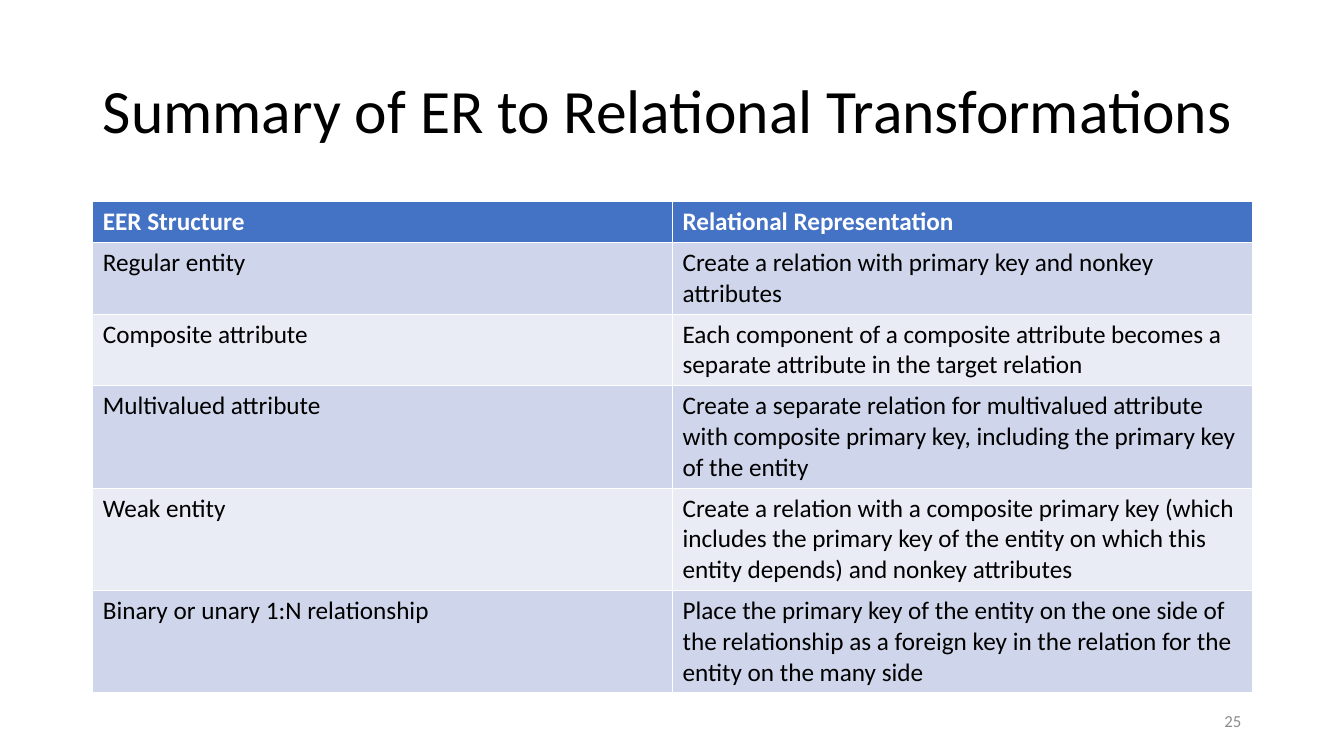
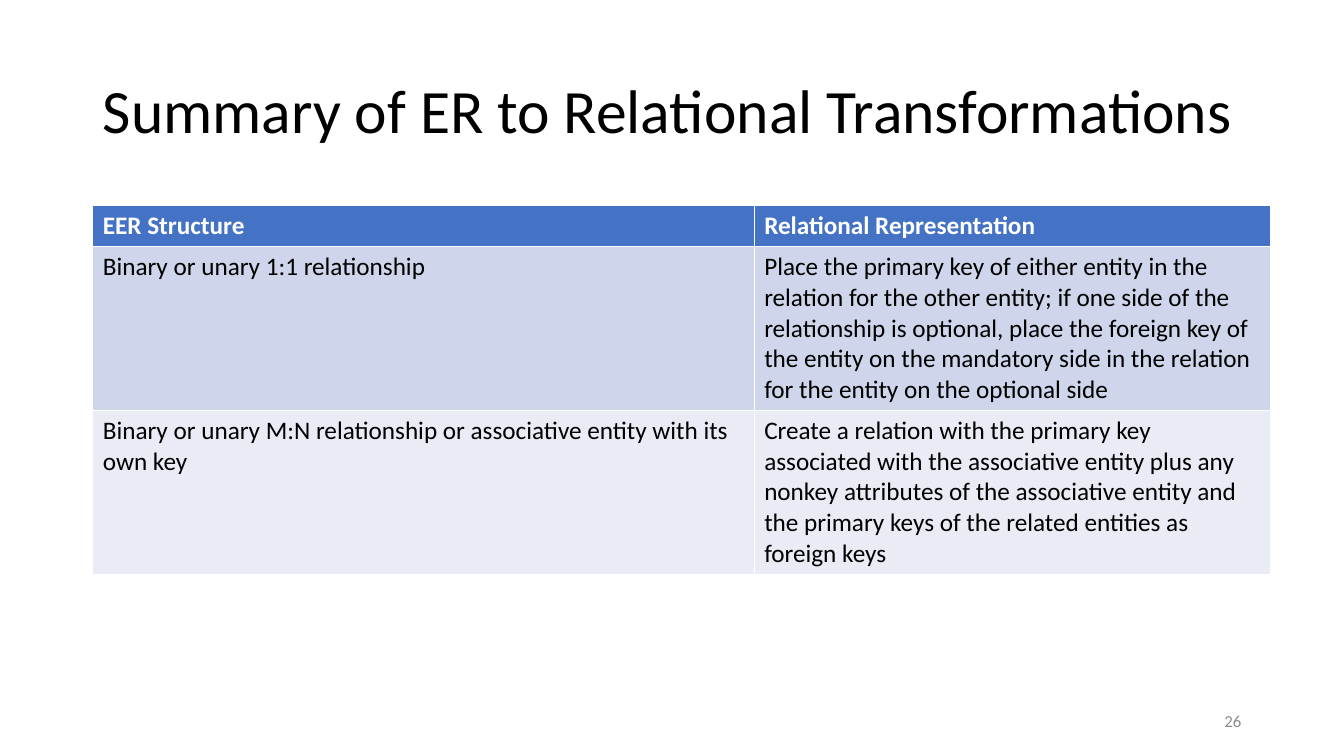
"""Build two slides summarising ER to relational transformations."""
from pptx import Presentation
from pptx.dml.color import RGBColor
from pptx.enum.text import MSO_ANCHOR, MSO_AUTO_SIZE, PP_ALIGN
from pptx.util import Inches

from pptx.util import Pt

COLORS = {"text": "000000", "header": "4472C4", "header_text": "FFFFFF",
          "odd": "CFD5EA", "even": "E9EBF5", "number": "8C8C8C"}
FONT = "Calibri"
WIDTH, HEIGHT, MARGIN = 13.33, 7.5, 0.92
LINE, PADDING = 0.29, 0.11

TITLE = "Summary of ER to Relational Transformations"
HEADER = ("EER Structure", "Relational Representation", 1)
SLIDES = [
    {"number": 25, "top": 2, "cols": (5.75, 5.75), "rows": [
        ("Regular entity", "Create a relation with primary key and nonkey attributes", 2),
        ("Composite attribute",
         "Each component of a composite attribute becomes a separate attribute "
         "in the target relation", 2),
        ("Multivalued attribute",
         "Create a separate relation for multivalued attribute with composite "
         "primary key, including the primary key of the entity", 3),
        ("Weak entity",
         "Create a relation with a composite primary key (which includes the "
         "primary key of the entity on which this entity depends) and nonkey "
         "attributes", 3),
        ("Binary or unary 1:N relationship",
         "Place the primary key of the entity on the one side of the relationship "
         "as a foreign key in the relation for the entity on the many side", 3),
    ]},
    {"number": 26, "top": 2.04, "cols": (6.56, 5.12), "rows": [
        ("Binary or unary 1:1 relationship",
         "Place the primary key of either entity in the relation for the other "
         "entity; if one side of the relationship is optional, place the foreign "
         "key of the entity on the mandatory side in the relation for the entity "
         "on the optional side", 5),
        ("Binary or unary M:N relationship or associative entity with its own key",
         "Create a relation with the primary key associated with the associative "
         "entity plus any nonkey attributes of the associative entity and the "
         "primary keys of the related entities as foreign keys", 5),
    ]},
]


def color(name):
    return RGBColor.from_string(COLORS[name])


def write(tf, text, size, ink, bold=False, align=PP_ALIGN.LEFT):
    tf.text = text
    p = tf.paragraphs[0]
    p.alignment = align
    p.font.name, p.font.size, p.font.bold = FONT, Pt(size), bold
    p.font.color.rgb = color(ink)
    return p


def add_title(s):
    sp = s.shapes.title
    sp.left, sp.top = Inches(MARGIN), Inches(0.4)
    sp.width, sp.height = Inches(WIDTH - 2 * MARGIN), Inches(1.45)
    tf = sp.text_frame
    tf.auto_size = MSO_AUTO_SIZE.NONE
    tf.vertical_anchor = MSO_ANCHOR.MIDDLE
    write(tf, TITLE, 44, "text").line_spacing = 0.9


def add_table(s, top, cols, rows):
    rows = [HEADER, *rows]
    heights = [PADDING + LINE * lines for *_, lines in rows]
    table = s.shapes.add_table(len(rows), len(cols), Inches(MARGIN), Inches(top),
                               Inches(sum(cols)), Inches(sum(heights))).table
    for col, width in zip(table.columns, cols):
        col.width = Inches(width)
    for i, (*texts, _) in enumerate(rows):
        table.rows[i].height = Inches(heights[i])
        fill = "header" if i == 0 else "odd" if i % 2 else "even"
        ink = "text" if i else "header_text"
        for j, text in enumerate(texts):
            cell = table.cell(i, j)
            cell.fill.solid()
            cell.fill.fore_color.rgb = color(fill)
            write(cell.text_frame, text, 18, ink, bold=i == 0)


def add_number(s, number):
    width = 3
    sp = s.shapes.add_textbox(Inches(WIDTH - MARGIN - width), Inches(6.95),
                              Inches(width), Inches(0.4))
    tf = sp.text_frame
    tf.word_wrap = True
    tf.vertical_anchor = MSO_ANCHOR.MIDDLE
    write(tf, str(number), 12, "number", align=PP_ALIGN.RIGHT)


def main():
    prs = Presentation()
    prs.slide_width, prs.slide_height = Inches(WIDTH), Inches(HEIGHT)
    for page in SLIDES:
        s = prs.slides.add_slide(prs.slide_layouts.get_by_name("Title Only"))
        add_title(s)
        add_table(s, page["top"], page["cols"], page["rows"])
        add_number(s, page["number"])
    prs.save("out.pptx")


if __name__ == "__main__":
    main()
